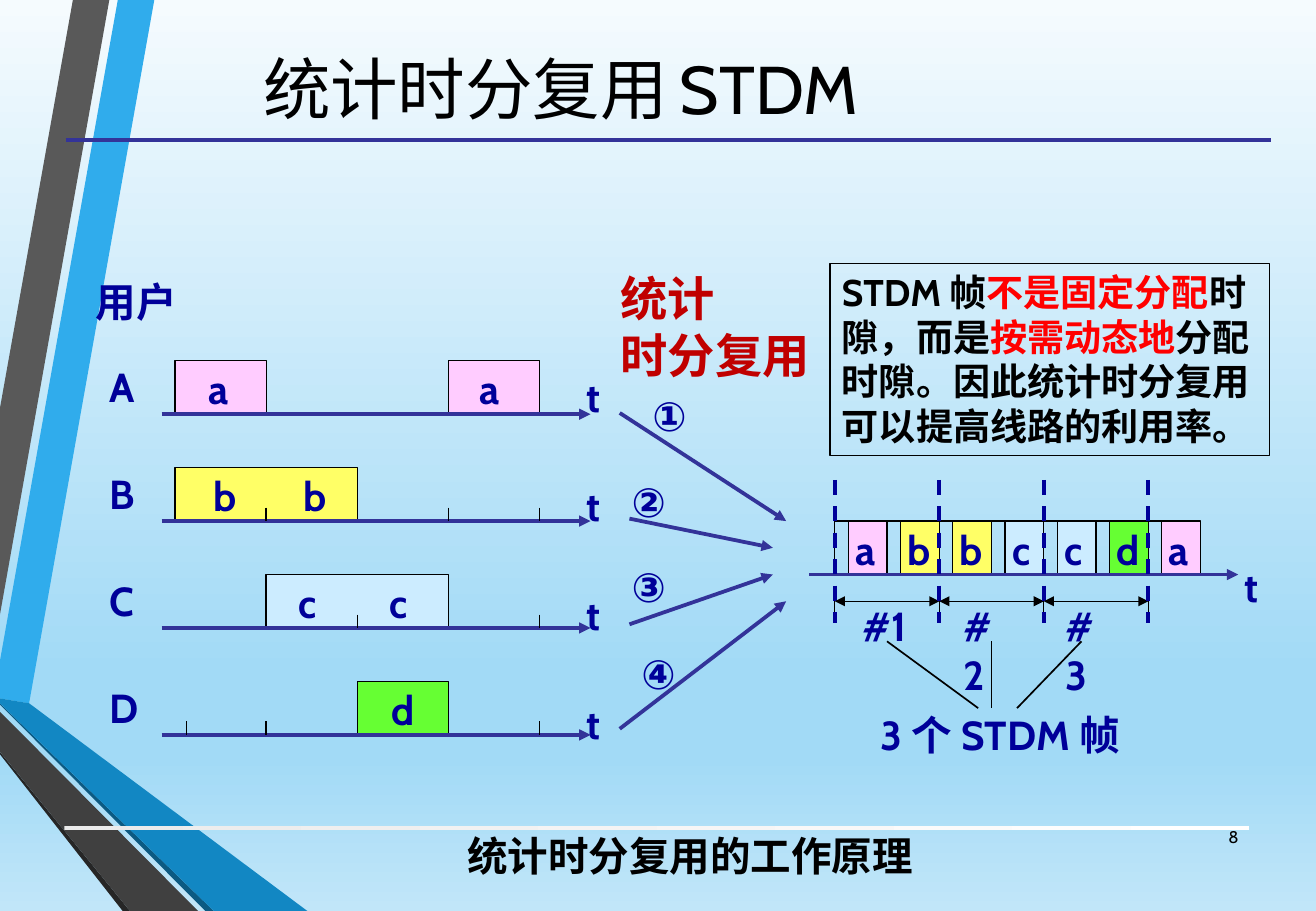
from dataclasses import dataclass

from lxml import etree
from pptx import Presentation
from pptx.dml.color import RGBColor
from pptx.enum.dml import MSO_LINE
from pptx.enum.shapes import MSO_CONNECTOR, MSO_SHAPE
from pptx.enum.text import MSO_ANCHOR, PP_ALIGN
from pptx.oxml.ns import qn
from pptx.util import Cm, Pt

LEFT, CENTER, RIGHT = PP_ALIGN.LEFT, PP_ALIGN.CENTER, PP_ALIGN.RIGHT
TOP, MIDDLE = MSO_ANCHOR.TOP, MSO_ANCHOR.MIDDLE
DASH = MSO_LINE.DASH
STRAIGHT = MSO_CONNECTOR.STRAIGHT
RECTANGLE = MSO_SHAPE.RECTANGLE
FONT = "Cabin"
BLACK, NAVY, INDIGO, RED, CRIMSON = "000000", "000099", "333399", "FF0000", "C00000"
COLORS = {"a": "FFCCFF", "b": "FFFF66", "c": "CCECFF", "d": "66FF33"}
CELL_HEIGHT, TICK = 0.44, 0.11
SLOT_LEFT, SLOT = 1.44, 0.75
AXIS_TOP, ROW = 3.41, 0.88
LINK_AXIS, FRAME_LEFT, LINK_SLOT, GAP = 4.73, 6.87, 0.43, 0.11
FRAME = 2 * LINK_SLOT


@dataclass
class Piece:
    text: str
    size: float = 24
    color: str = NAVY
    bold: bool = True


@dataclass
class Line:
    start: tuple[float, float]
    end: tuple[float, float]
    color: str = BLACK
    width: float = 0.75
    ends: tuple[str, ...] = ()
    dashed: bool = False


@dataclass
class Burst:
    row: int
    slot: int
    letters: str
    letter_lefts: tuple[float, ...]


def inch(value: float) -> Cm:
    return Cm(value * 2.54)


def rgb(color: str) -> RGBColor:
    return RGBColor.from_string(color)


def paint_gradient(fill, owner, stops: list[tuple[int, str]], angle: float) -> None:
    fill.gradient()
    fill.gradient_angle = angle
    stop_list = owner.find(".//" + qn("a:gsLst"))
    for stop in list(stop_list):
        stop_list.remove(stop)
    for position, color in stops:
        stop = etree.SubElement(stop_list, qn("a:gs"), pos=str(position * 1000))
        etree.SubElement(stop, qn("a:srgbClr"), val=color)


def draw_outline(points: list[tuple[float, float]], fill: str = "",
                 closed: bool = False, line: str = "") -> None:
    corners = [(inch(x), inch(y)) for x, y in points]
    builder = slide.shapes.build_freeform(*corners[0])
    builder.add_line_segments(corners[1:], close=closed)
    shape = builder.convert_to_shape()
    shape.shadow.inherit = False
    if fill:
        shape.fill.solid()
        shape.fill.fore_color.rgb = rgb(fill)
    else:
        shape.fill.background()
    if line:
        shape.line.color.rgb = rgb(line)
        shape.line.width = Pt(0.75)
    else:
        shape.line.fill.background()


def draw_cell(left: float, width: float, base: float, fill: str = "") -> None:
    top, right = base - CELL_HEIGHT, left + width
    draw_outline([(left, base), (left, top), (right, top), (right, base)], fill, line=BLACK)


def draw_line(line: Line) -> None:
    connector = slide.shapes.add_connector(
        STRAIGHT, *(inch(value) for value in line.start + line.end))
    connector.line.color.rgb = rgb(line.color)
    connector.line.width = Pt(line.width)
    if line.dashed:
        connector.line.dash_style = DASH
    properties = connector.element.spPr
    for end in line.ends:
        etree.SubElement(properties.find(qn("a:ln")), qn(end), type="triangle")
    etree.SubElement(properties, qn("a:effectLst"))


def write(left: float, top: float, width: float, height: float,
          *paragraphs: list[Piece], align=LEFT, anchor=TOP):
    box = slide.shapes.add_textbox(inch(left), inch(top), inch(width), inch(height))
    frame = box.text_frame
    frame.word_wrap = True
    frame.vertical_anchor = anchor
    frame.text = "\n".join("" for _ in paragraphs)
    for para, pieces in zip(frame.paragraphs, paragraphs):
        para.alignment = align
        for piece in pieces:
            span = para.add_run()
            span.text = piece.text
            span.font.name = FONT
            span.font.size = Pt(piece.size)
            span.font.bold = piece.bold
            span.font.color.rgb = rgb(piece.color)
    return box


def label(text: str, left: float, top: float, width: float = 0.45) -> None:
    write(left, top, width, 0.5, [Piece(text)])


deck = Presentation()
deck.slide_width, deck.slide_height = inch(10.83), inch(7.5)
slide = deck.slides.add_slide(deck.slide_layouts[6])
paint_gradient(slide.background.fill, slide.element,
               [(0, "F5FBFE"), (74, "A2DAF6"), (83, "A2DAF6"), (100, "C1E6F9")], 270)

RIBBONS = [
    ("30ACEC", [(0, 5.44), (0, 5.75), (0.24, 5.79), (1.27, 0), (0.97, 0)]),
    ("595959", [(0.9, 0), (0.6, 0), (0, 3.36), (0, 5.06)]),
    ("262626", [(0, 6.19), (0, 6.21), (1.01, 7.5), (1.07, 7.5)]),
    ("0C5A82", [(0, 5.79), (0, 5.8), (1.69, 7.5), (1.76, 7.5)]),
    ("1287C3", [(0, 5.79), (1.76, 7.5), (2.53, 7.5), (0.24, 5.79), (0, 5.75)]),
    ("404040", [(0, 6.19), (1.07, 7.5), (1.63, 7.5), (0, 5.86)]),
]
for color, points in RIBBONS:
    draw_outline(points, color, closed=True)

footer_rule = slide.shapes.add_shape(RECTANGLE, inch(0.53), inch(6.8), inch(9.75), inch(0.03))
footer_rule.shadow.inherit = False
footer_rule.line.fill.background()
paint_gradient(footer_rule.fill, footer_rule.element, [(0, "EBEBEB"), (100, "FFFFFF")], 0)
draw_line(Line((0.54, 1.15), (10.46, 1.15), INDIGO, 2.25))

write(0.54, 0.21, 8.15, 1.02,
      [Piece("统计时分复用", 40, BLACK, False), Piece(" ", 32, BLACK, False),
       Piece("STDM", 40, BLACK, False)], align=CENTER, anchor=MIDDLE)
SUMMARY = [("STDM 帧", BLACK), ("不是固定分配", RED), ("时隙，而是", BLACK), ("按需动态地", RED),
           ("分配时隙。因此统计时分复用可以提高线路的利用率。", BLACK)]
summary = write(6.83, 2.17, 3.62, 1.58, [Piece(text, 22, color) for text, color in SUMMARY])
summary.line.color.rgb = rgb(BLACK)
summary.line.width = Pt(0.75)

BURSTS = [
    Burst(0, 0, "a", (1.62,)), Burst(0, 3, "a", (3.85,)), Burst(1, 0, "bb", (1.66, 2.4)),
    Burst(2, 1, "cc", (2.36, 3.11)), Burst(3, 2, "d", (3.12,)),
]
for burst in BURSTS:
    base = AXIS_TOP + burst.row * ROW
    draw_cell(SLOT_LEFT + burst.slot * SLOT, len(burst.letters) * SLOT, base,
              COLORS[burst.letters[0]])
    for letter, left in zip(burst.letters, burst.letter_lefts):
        label(letter, left, base - 0.46)

label("用户", 0.69, 2.23, 0.88)
TICK_SLOTS = [(), (1, 3, 4), (2, 4), (0.13, 1, 4)]
for row, (user, ticks) in enumerate(zip("ABCD", TICK_SLOTS)):
    base = AXIS_TOP + row * ROW
    label(user, 0.8, base - 0.48)
    label("t", 4.73, 3.01 + row * 0.9)
    draw_line(Line((1.33, base), (4.86, base), INDIGO, 2.25, ("a:tailEnd",)))
    for slot in ticks:
        x = SLOT_LEFT + slot * SLOT
        draw_line(Line((x, base - TICK), (x, base)))

for index, letter in enumerate("abbccda"):
    left = FRAME_LEFT + index * LINK_SLOT
    draw_cell(left, GAP, LINK_AXIS)
    draw_cell(left + GAP, LINK_SLOT - GAP, LINK_AXIS, COLORS[letter])
    label(letter, left + 0.07, 4.27)
draw_line(Line((6.66, LINK_AXIS), (10.19, LINK_AXIS), INDIGO, 2.25, ("a:tailEnd",)))
label("t", 10.14, 4.58)

for index in range(4):
    x = FRAME_LEFT + index * FRAME
    draw_line(Line((x, 4.84), (x, 5.06)))
    draw_line(Line((x, 3.95), (x, 5.13), NAVY, 2.25, dashed=True))
    if index < 3:
        draw_line(Line((x, 4.95), (x + FRAME, 4.95), ends=("a:headEnd", "a:tailEnd")))

for name, left, width in [("#1", 7, 0.65), ("#2", 7.83, 0.5), ("#3", 8.67, 0.5)]:
    label(name, left, 4.9, width)
for start, end in [(7.3, 8.05), (8.16, 8.16), (8.9, 8.37)]:
    draw_line(Line((start, 5.28), (end, 5.83), width=1))
label("3 个 STDM 帧", 7.15, 5.8, 2.2)

INPUTS = [
    ("①", (5.27, 3.17), (5.1, 3.4), (6.47, 4.29)), ("②", (5.1, 3.88), (5.18, 4.27), (6.36, 4.51)),
    ("③", (5.1, 4.58), (5.18, 5.14), (6.36, 4.73)), ("④", (5.18, 5.29), (5.1, 6), (6.47, 4.95)),
]
for number, place, start, end in INPUTS:
    draw_line(Line(start, end, INDIGO, 2.25, ("a:tailEnd",)))
    label(number, *place, 0.54)

write(5.01, 2.17, 1.9, 1.04, [Piece("统计", 28, CRIMSON)], [Piece("时分复用", 28, CRIMSON)])
write(2.86, 6.79, 5.64, 0.5, [Piece("统计时分复用的工作原理", color=BLACK)], align=CENTER)
write(9.8, 6.69, 0.49, 0.4, [Piece("8", 10, BLACK, False)], align=RIGHT, anchor=MIDDLE)

deck.save("out.pptx")
